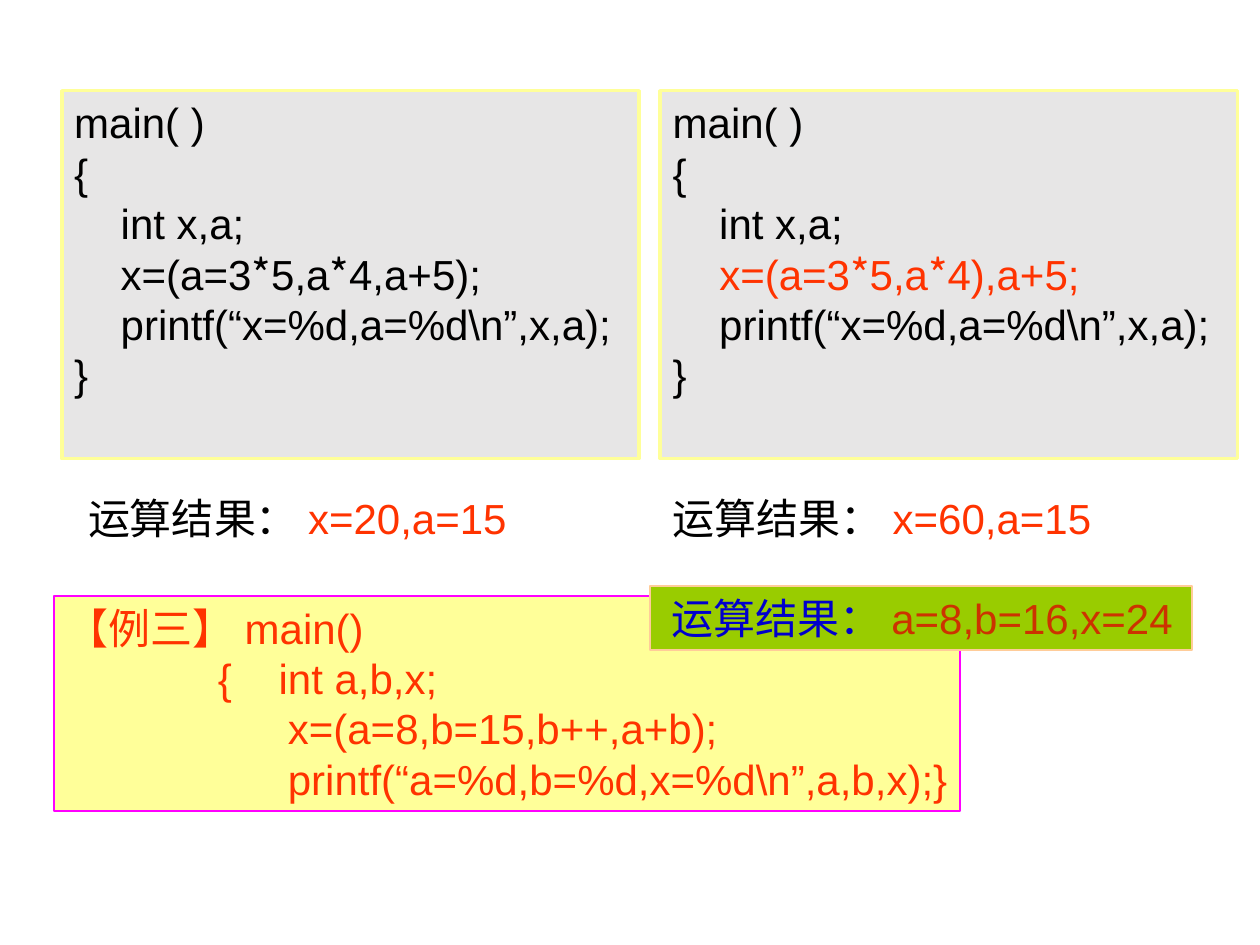
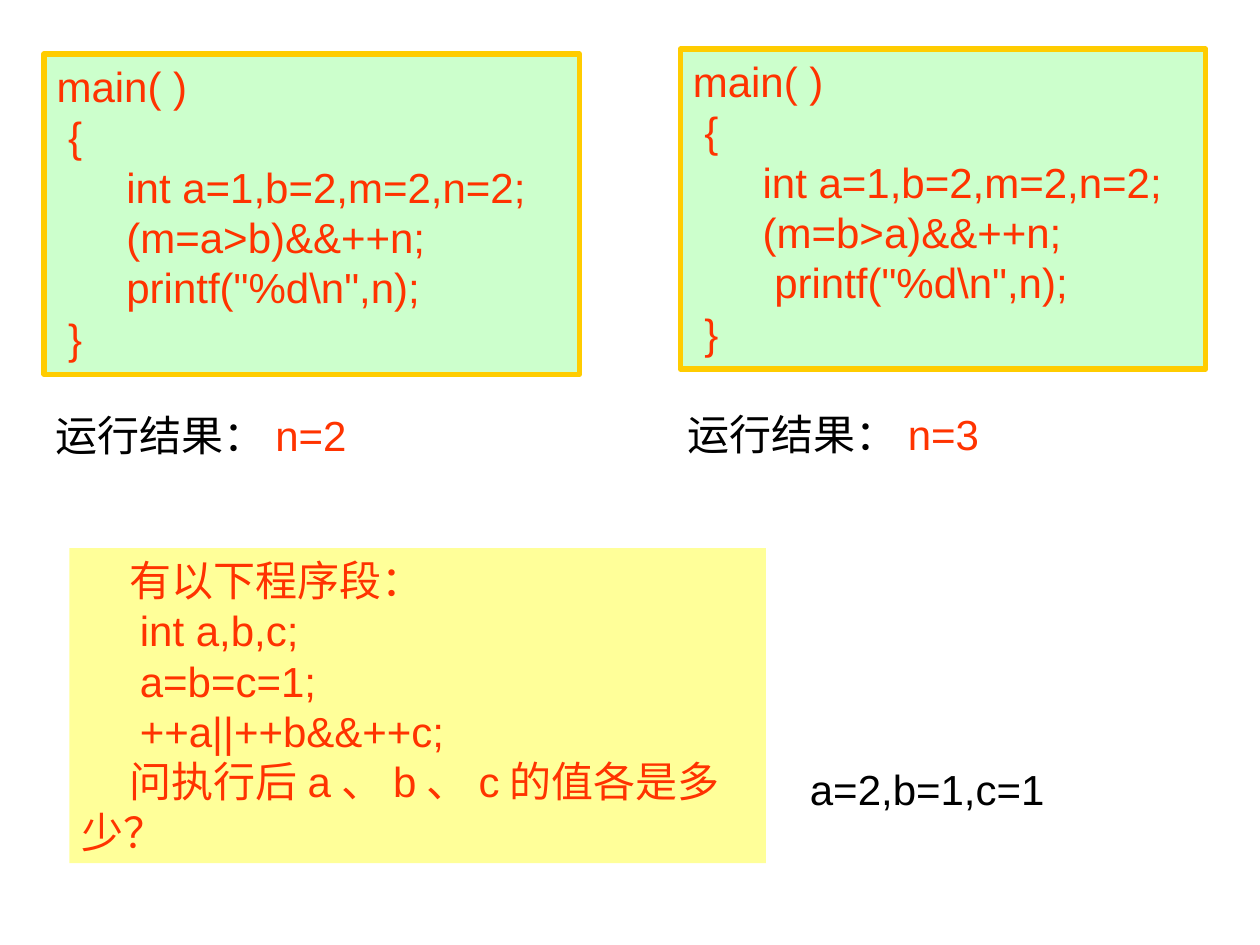
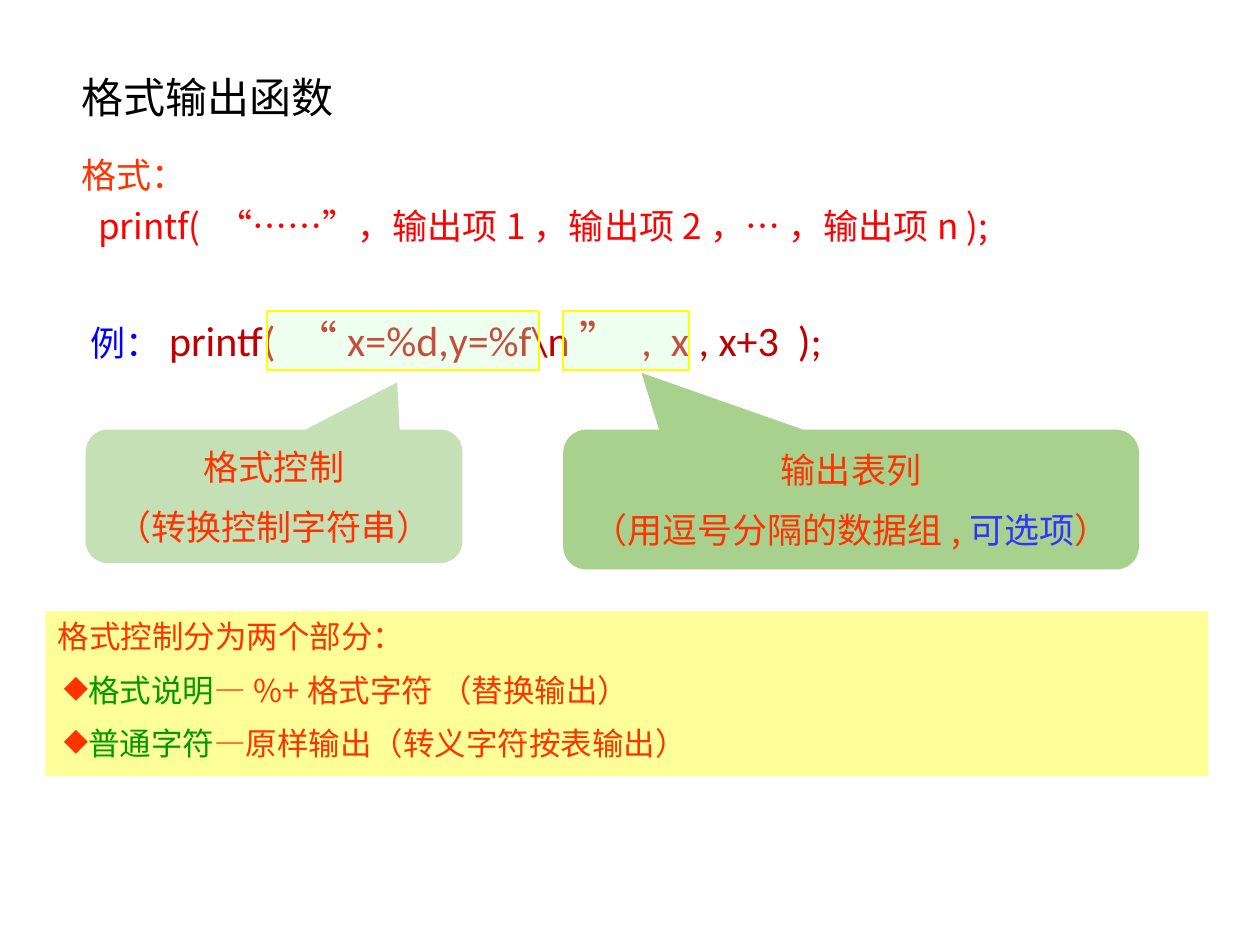
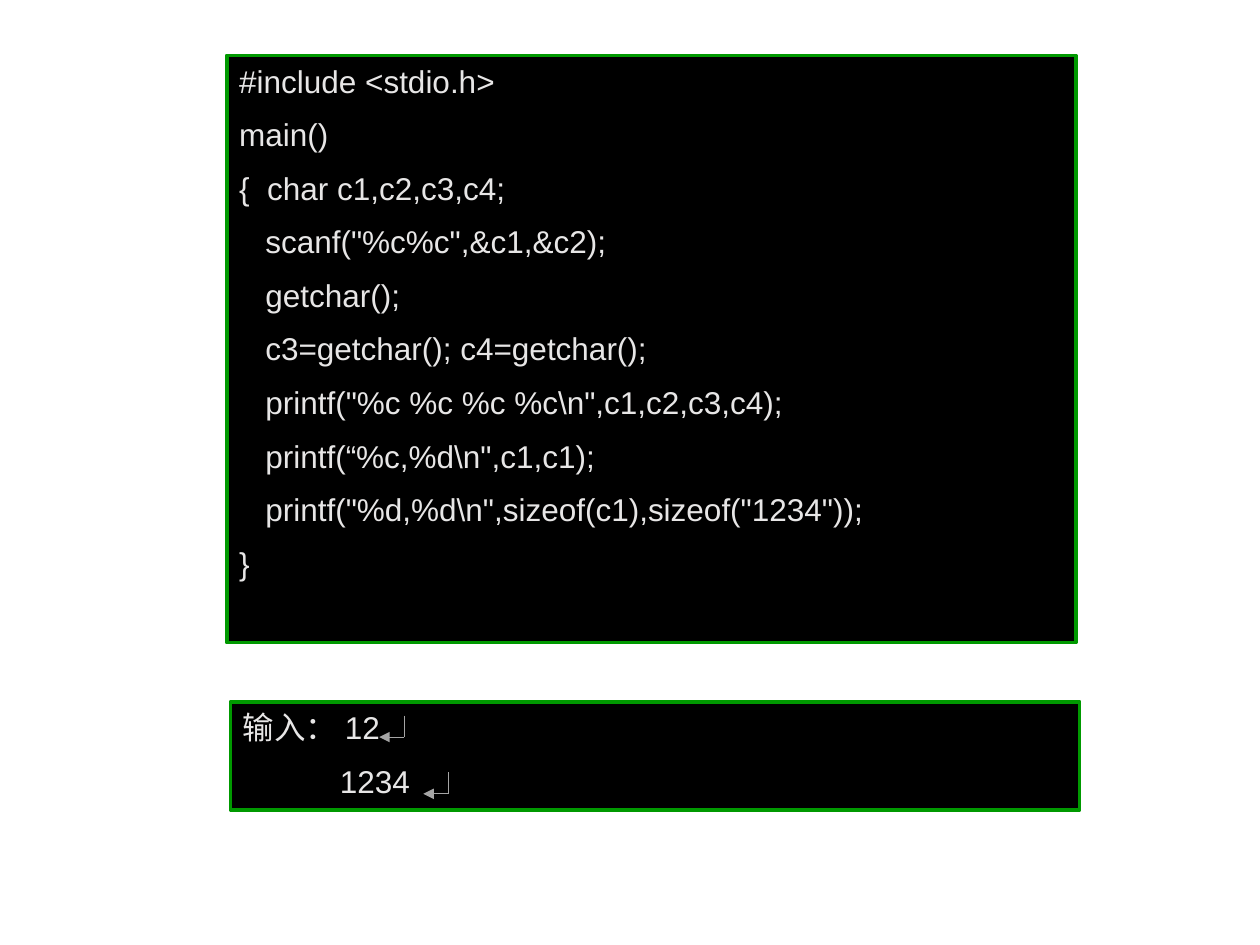
"""Build four slides on C comma and logical operators, printf and character input."""
from lxml import etree
from pptx import Presentation
from pptx.dml.color import RGBColor
from pptx.enum.shapes import MSO_CONNECTOR, MSO_SHAPE
from pptx.enum.text import MSO_ANCHOR, PP_ALIGN
from pptx.oxml.ns import qn
from pptx.util import Inches, Pt

RECTANGLE = MSO_SHAPE.RECTANGLE
CALLOUT = MSO_SHAPE.ROUNDED_RECTANGULAR_CALLOUT
STRAIGHT = MSO_CONNECTOR.STRAIGHT
TOP, MIDDLE = MSO_ANCHOR.TOP, MSO_ANCHOR.MIDDLE
LEFT, CENTER = PP_ALIGN.LEFT, PP_ALIGN.CENTER

BLACK = RGBColor(0x00, 0x00, 0x00)
LIGHT_GRAY = RGBColor(0xE7, 0xE6, 0xE6)
KEY_GRAY = RGBColor(0xA5, 0xA5, 0xA5)
ORANGE_RED = RGBColor(0xFF, 0x33, 0x00)
RED = RGBColor(0xFF, 0x00, 0x00)
BRICK = RGBColor(0xCC, 0x33, 0x00)
DARK_RED = RGBColor(0xC0, 0x00, 0x00)
PALE_YELLOW = RGBColor(0xFF, 0xFF, 0x99)
YELLOW = RGBColor(0xFF, 0xFF, 0x00)
GOLD = RGBColor(0xFF, 0xCC, 0x00)
PEACH = RGBColor(0xFF, 0xCC, 0x99)
MAGENTA = RGBColor(0xFF, 0x00, 0xFF)
LIME = RGBColor(0x99, 0xCC, 0x00)
MINT = RGBColor(0xCC, 0xFF, 0xCC)
GREEN = RGBColor(0x00, 0x99, 0x00)
SAGE = RGBColor(0xC5, 0xE0, 0xB4)
LEAF = RGBColor(0xA9, 0xD1, 0x8E)
BLUE = RGBColor(0x00, 0x00, 0xFF)
NAVY = RGBColor(0x00, 0x00, 0xCC)
SOFT_BLUE = RGBColor(0x33, 0x33, 0xFF)

ARIAL, CALIBRI, CJK = "Arial", "Calibri", "Noto Sans CJK SC"


def add_panel(slide, box, lines, size=24, font=ARIAL, color=BLACK, fill=None,
              border=None, width=1, preset=RECTANGLE, wrap=True, anchor=TOP,
              align=LEFT, gap=0, leading=1.2, indents=(), bulleted=False):
    """Add a box whose lines are strings or lists of (text, color, font, size) runs."""
    frame = [Inches(value) for value in box]
    if fill is None:
        panel = slide.shapes.add_textbox(*frame)
    else:
        panel = slide.shapes.add_shape(preset, *frame)
        panel.shadow.inherit = False
        panel.fill.solid()
        panel.fill.fore_color.rgb = fill
        if border is None:
            panel.line.fill.background()
        else:
            panel.line.color.rgb = border
            panel.line.width = Pt(width)
    text = panel.text_frame
    text.word_wrap = wrap
    text.vertical_anchor = anchor
    for index, line in enumerate(lines):
        paragraph = text.add_paragraph() if index else text.paragraphs[0]
        paragraph.alignment = align
        paragraph.line_spacing = Pt(size * leading)
        if index and gap:
            paragraph.space_before = Pt(gap)
        properties = paragraph._p.get_or_add_pPr()
        if index in indents:
            properties.set("indent", str(Inches(indents[index])))
        if bulleted and index:
            properties.set("marL", str(Inches(0.24)))
            properties.set("indent", str(Inches(-0.19)))
            tint = etree.SubElement(properties, qn("a:buClr"))
            etree.SubElement(tint, qn("a:srgbClr")).set("val", str(ORANGE_RED))
            etree.SubElement(properties, qn("a:buChar")).set("char", "◆")
        paragraph.font.size = Pt(size)
        paragraph.font.name = font
        paragraph.font.color.rgb = color
        for piece in [(line,)] if isinstance(line, str) else line:
            words, run_color, run_font, run_size = (piece + (None,) * 3)[:4]
            run = paragraph.add_run()
            run.text = words
            if run_color is not None:
                run.font.color.rgb = run_color
            if run_font:
                run.font.name = run_font
            if run_size:
                run.font.size = Pt(run_size)
    return panel


prs = Presentation()
prs.slide_width, prs.slide_height = Inches(10), Inches(7.5)
comma, logic, output, characters = [
    prs.slides.add_slide(prs.slide_layouts[6]) for _ in range(4)]

STAR = ("*", None, CJK)
RED_STAR = ("*", ORANGE_RED, CJK)
comma_examples = [
    (0.49, [("    x=(a=3",), STAR, ("5,a",), STAR, ("4,a+5);",)]),
    (5.24, [("    ",), ("x=(a=3", ORANGE_RED), RED_STAR, ("5,a", ORANGE_RED),
            RED_STAR, ("4),a+5;", ORANGE_RED)]),
]
for left, assignment in comma_examples:
    add_panel(comma, (left, 0.72, 4.58, 2.92),
              ["main( )", "{", "    int x,a;", assignment,
               r"    printf(“x=%d,a=%d\n”,x,a);", "}"],
              fill=LIGHT_GRAY, border=PALE_YELLOW, width=2)
for left, answer, indent in [(0.53, "x=20,a=15", 0.07), (5.24, "x=60,a=15", 0)]:
    add_panel(comma, (left, 3.86, 3.62, 0.5),
              [[("运算结果：",), (answer, ORANGE_RED)]], indents={0: indent})
add_panel(comma, (0.43, 4.73, 7.19, 1.71),
          ["【例三】main()",
           "             {    int a,b,x;",
           "                   x=(a=8,b=15,b++,a+b);",
           r"                   printf(“a=%d,b=%d,x=%d\n”,a,b,x);}"],
          color=ORANGE_RED, fill=PALE_YELLOW, border=MAGENTA, wrap=False)
add_panel(comma, (5.16, 4.65, 4.3, 0.51),
          [[("运算结果：", NAVY), ("a=8,b=16,x=24", BRICK)]],
          fill=LIME, border=PEACH, indents={0: 0.07})

logic_examples = [
    ((0.35, 0.43, 4.25, 2.54), "a>b", "      ", (0.34, 3.2), "n=2"),
    ((5.4, 0.39, 4.17, 2.54), "b>a", "       ", (5.36, 3.19), "n=3"),
]
for box, test, lead, result_corner, answer in logic_examples:
    add_panel(logic, box,
              ["main( )", " {", "      int a=1,b=2,m=2,n=2;",
               f"      (m={test})&&++n;", lead + r'printf("%d\n",n);', " }"],
              color=ORANGE_RED, fill=MINT, border=GOLD, width=3)
    add_panel(logic, (*result_corner, 2.52, 0.5),
              [[("运行结果：",), (answer, ORANGE_RED)]])
add_panel(logic, (0.55, 4.35, 5.53, 2.5),
          ["有以下程序段：", "     int a,b,c;", "     a=b=c=1;",
           "     ++a||++b&&++c;", "问执行后a、b、c的值各是多少？"],
          color=ORANGE_RED, fill=PALE_YELLOW, indents={0: 0.38, 4: 0.38})
add_panel(logic, (6.33, 6.01, 2.06, 0.5), ["a=2,b=1,c=1"], wrap=False)

add_panel(output, (0.55, 1.2, 8.62, 0.8),
          ["格式：", [("printf( “……”，输出项1，输出项2，… ，输出项n );", RED)]],
          size=20, font=CJK, color=ORANGE_RED, gap=7.5, leading=1.08,
          indents={1: 0.13})
add_panel(output, (0.55, 2.45, 8.62, 0.5),
          [[("例：", BLUE, CJK, 20), (r"printf( “x=%d,y=%f\n” ,  x , x+3  );",)]],
          font=CALIBRI, color=DARK_RED, indents={0: 0.07})
for left, width in [(2.12, 2.16), (4.47, 1)]:
    highlight = add_panel(output, (left, 2.47, width, 0.47), [],
                          fill=MINT, border=YELLOW)
    tint = highlight._element.spPr.find(qn("a:solidFill"))[0]
    etree.SubElement(tint, qn("a:alpha")).set("val", "31000")
callouts = [
    ((0.68, 3.41, 2.99, 1.06), SAGE, (0.327, -0.854),
     ["格式控制", "（转换控制字符串）"]),
    ((4.47, 3.41, 4.57, 1.11), LEAF, (-0.364, -0.906),
     ["输出表列", [("（用逗号分隔的数据组,",), ("可选项", SOFT_BLUE), ("）",)]]),
]
for box, fill, pointer, lines in callouts:
    callout = add_panel(output, box, lines, size=20, font=CJK, color=ORANGE_RED,
                        fill=fill, preset=CALLOUT, anchor=MIDDLE, align=CENTER, gap=10)
    callout.adjustments[0], callout.adjustments[1] = pointer
add_panel(output, (0.36, 4.85, 9.23, 1.31),
          ["格式控制分为两个部分：",
           [("格式说明", GREEN), ("—%+格式字符 （替换输出）",)],
           [("普通字符", GREEN), ("—原样输出（转义字符按表输出）",)]],
          size=18, font=CJK, color=ORANGE_RED, fill=PALE_YELLOW, gap=9, bulleted=True)
add_panel(output, (0.55, 0.52, 2.52, 0.54), ["格式输出函数"], font=CJK)

program = [
    "#include <stdio.h>",
    "main()",
    "{  char c1,c2,c3,c4;",
    '   scanf("%c%c",&c1,&c2);',
    "   getchar();",
    "   c3=getchar(); c4=getchar();",
    r'   printf("%c %c %c %c\n",c1,c2,c3,c4);',
    r'   printf(“%c,%d\n",c1,c1);',
    r'   printf("%d,%d\n",sizeof(c1),sizeof("1234"));',
    "}",
]
for box, lines, indents in [((1.8, 0.44, 6.74, 4.66), program, {}),
                            ((1.83, 5.57, 6.74, 0.86), ["输入：12", "1234"], {1: 0.77})]:
    add_panel(characters, box, lines, size=18, color=LIGHT_GRAY, fill=BLACK,
              border=GREEN, width=2, gap=9, indents=indents)
for right, bottom in [(3.21, 5.85), (3.56, 6.3)]:
    enter_key = characters.shapes.add_group_shape()
    for start, end, arrow in [((right, bottom - 0.17), (right, bottom), False),
                              ((right, bottom), (right - 0.2, bottom), True)]:
        stroke = enter_key.shapes.add_connector(
            STRAIGHT, *[Inches(value) for value in start + end])
        stroke.line.color.rgb = KEY_GRAY
        stroke.line.width = Pt(0.5)
        if arrow:
            etree.SubElement(stroke.line._get_or_add_ln(),
                             qn("a:tailEnd")).set("type", "triangle")
        etree.SubElement(stroke._element.spPr, qn("a:effectLst"))

prs.save("out.pptx")
